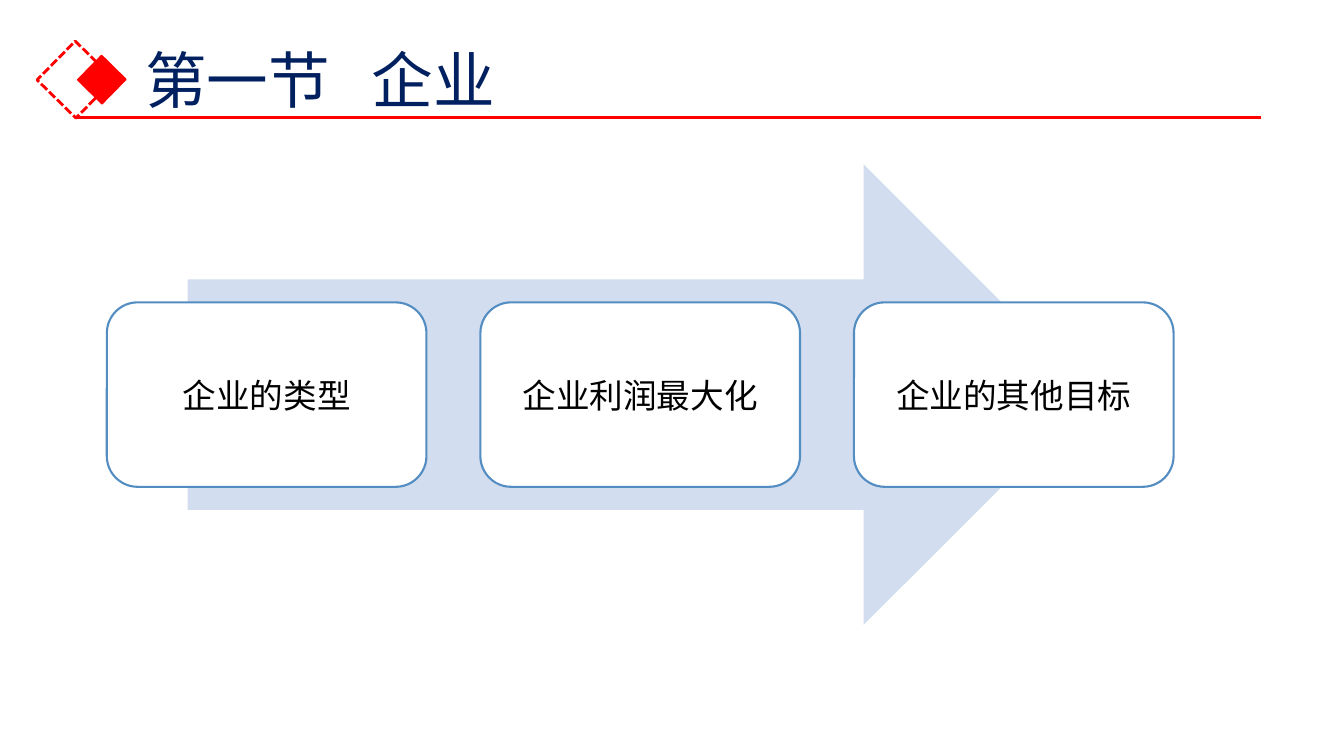
from lxml import etree
from pptx import Presentation
from pptx.dml.color import RGBColor
from pptx.enum import dml, shapes, text
from pptx.oxml.ns import qn
from pptx.util import Inches, Pt

TITLE = "第一节   企业"
STEPS = ["企业的类型", "企业利润最大化", "企业的其他目标"]
FONT = "Noto Sans CJK SC"
RED, NAVY, BLACK, WHITE = "FF0000", "002060", "000000", "FFFFFF"
ARROW_BLUE, EDGE_BLUE = "D2DEEF", "538DC1"
STEP_LEFT, STEP_TOP, STEP_W, STEP_H, STEP_PITCH = 1.06, 3, 3.17, 1.83, 3.705


def rgb(color):
    return RGBColor.from_string(color)


def write(shape, content, size, color, align, margin=None, spacing=None):
    tf = shape.text_frame
    tf.word_wrap = True
    tf.auto_size = text.MSO_AUTO_SIZE.NONE
    tf.vertical_anchor = text.MSO_ANCHOR.MIDDLE
    if margin is not None:
        tf.margin_left = tf.margin_right = Inches(margin)
        tf.margin_top = tf.margin_bottom = Inches(margin)
    p = tf.paragraphs[0]
    p.alignment = align
    p.line_spacing = spacing
    r = p.add_run()
    r.text = content
    r.font.size = Pt(size)
    r.font.color.rgb = rgb(color)
    r.font.name = FONT
    etree.SubElement(r.font._element, qn("a:ea")).set("typeface", FONT)


def add_shape(kind, x, y, w, h, fill=None, line=None, width=1):
    sp = s.shapes.add_shape(kind, *map(Inches, (x, y, w, h)))
    sp.shadow.inherit = False
    if fill:
        sp.fill.solid()
        sp.fill.fore_color.rgb = rgb(fill)
    else:
        sp.fill.background()
    if line:
        sp.line.color.rgb = rgb(line)
        sp.line.width = Pt(width)
    else:
        sp.line.fill.background()
    return sp


prs = Presentation()
prs.slide_width, prs.slide_height = Inches(13.33), Inches(7.5)
s = prs.slides.add_slide(prs.slide_layouts[5])

title = s.shapes.title
title.left, title.top = Inches(1.34), Inches(0.1)
title.width, title.height = Inches(11.08), Inches(1.45)
write(title, TITLE, 44, NAVY, text.PP_ALIGN.LEFT, spacing=0.9)

kind = shapes.MSO_SHAPE
frame = add_shape(kind.RECTANGLE, 0.48, 0.52, 0.54, 0.54, line=RED, width=2)
frame.line.dash_style = dml.MSO_LINE.SQUARE_DOT
diamond = add_shape(kind.RECTANGLE, 0.84, 0.62, 0.34, 0.34, RED, RED)
frame.rotation = diamond.rotation = 314.5

rule = s.shapes.add_connector(
    shapes.MSO_CONNECTOR.STRAIGHT, *map(Inches, (0.75, 1.17, 12.51, 1.17)))
rule.line.color.rgb = rgb(RED)
rule.line.width = Pt(2.25)
etree.SubElement(rule._element.spPr, qn("a:effectLst"))

add_shape(kind.RIGHT_ARROW, 1.86, 1.63, 8.99, 4.57, ARROW_BLUE)
for i, step in enumerate(STEPS):
    sp = add_shape(kind.ROUNDED_RECTANGLE, STEP_LEFT + i * STEP_PITCH, STEP_TOP,
                   STEP_W, STEP_H, WHITE, EDGE_BLUE, 1.5)
    write(sp, step, 24, BLACK, text.PP_ALIGN.CENTER, margin=0.1)

prs.save("out.pptx")
